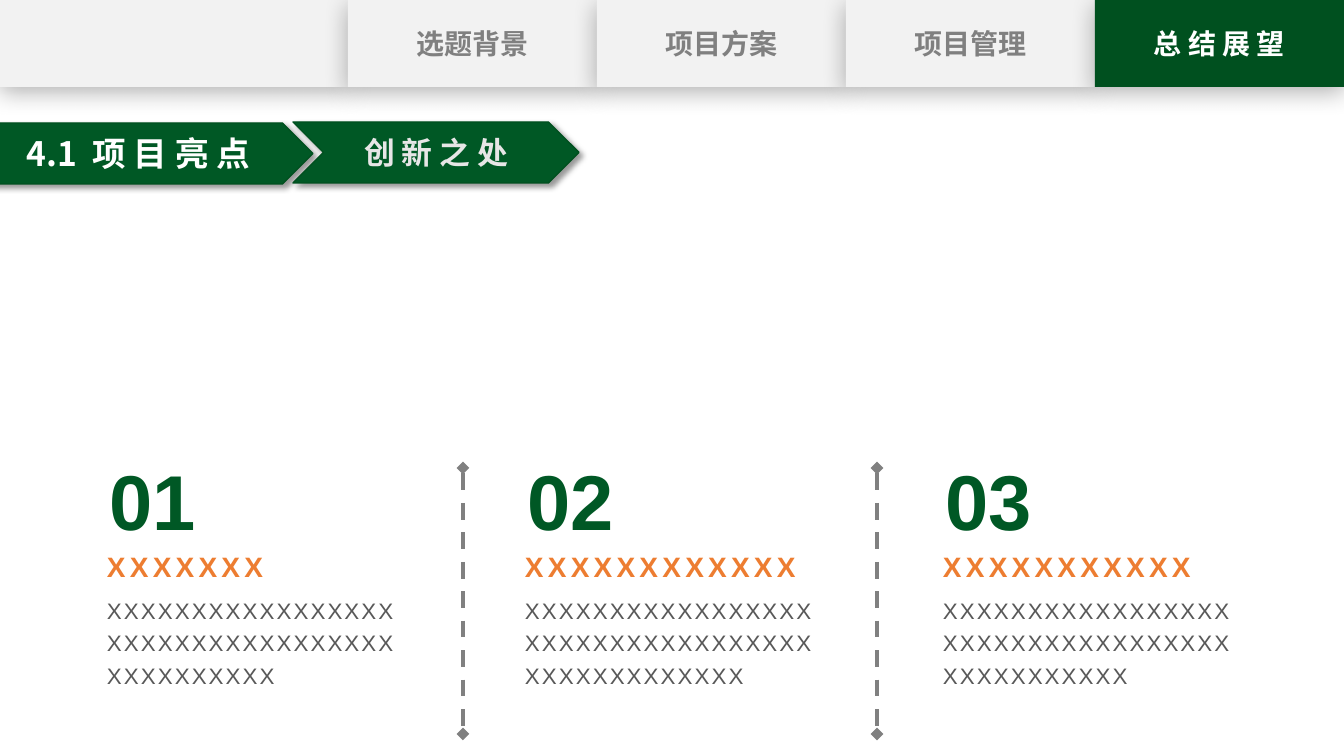
from lxml.etree import SubElement
from pptx import Presentation
from pptx.dml.color import RGBColor
from pptx.enum.dml import MSO_LINE
from pptx.enum.shapes import MSO_CONNECTOR, MSO_SHAPE
from pptx.enum.text import MSO_ANCHOR as ANCHOR, PP_ALIGN as ALIGN
from pptx.oxml.ns import qn
from pptx.util import Pt

EMU_PER_PX = 914400 / 100.8
GREEN, DARK_GREEN, ORANGE = "005825", "00501F", "ED7D31"
PALE, GRAY, WHITE = "F2F2F2", "808080", "FFFFFF"
CJK, LATIN = "Noto Sans CJK SC", "Arial"
TAB_SHADOW = (29, 18, 4, 90)  # opacity %, blur pt, distance pt, angle
RIBBON_SHADOW = (40, 4, 3, 45)


def px(n):
    return round(n * EMU_PER_PX)


def rgb(color):
    return RGBColor.from_string(color)


def write(shape, text, size, color, font=CJK, bold=True, align=ALIGN.CENTER,
          anchor=ANCHOR.MIDDLE, spacing=None, tracking=0, insets=None, wrap=True):
    tf = shape.text_frame
    tf.word_wrap = wrap
    tf.vertical_anchor = anchor
    if insets:
        tf.margin_left, tf.margin_top, tf.margin_right, tf.margin_bottom = map(px, insets)
    p = tf.paragraphs[0]
    p.text = text
    p.alignment = align
    p.line_spacing = spacing
    p.font.size = Pt(size)
    p.font.bold = bold
    p.font.name = font
    p.font.color.rgb = rgb(color)
    props = p._p.pPr.find(qn("a:defRPr"))
    SubElement(props, qn("a:ea")).set("typeface", font)
    if tracking:
        props.set("spc", str(round(tracking * 100)))


def add_shadow(shape, opacity, blur, distance, angle):
    shape.shadow.inherit = False
    effects = shape._element.spPr.find(qn("a:effectLst"))
    outer = SubElement(effects, qn("a:outerShdw"), blurRad=str(Pt(blur)),
                       dist=str(Pt(distance)), dir=str(angle * 60000),
                       algn="ctr", rotWithShape="0")
    black = SubElement(outer, qn("a:srgbClr"), val="000000")
    SubElement(black, qn("a:alpha"), val=str(opacity * 1000))


def add_block(s, kind, x, y, w, h, fill, shadow, line=None):
    sp = s.shapes.add_shape(kind, px(x), px(y), px(w), px(h))
    sp.fill.solid()
    sp.fill.fore_color.rgb = rgb(fill)
    if line:
        sp.line.color.rgb = rgb(line)
        sp.line.width = Pt(1)
    else:
        sp.line.fill.background()
    add_shadow(sp, *shadow)
    return sp


def add_tab(s, x, w, text="", fill=PALE, color=GRAY):
    sp = add_block(s, MSO_SHAPE.RECTANGLE, x, 0, w, 87, fill, TAB_SHADOW)
    if text:
        write(sp, text, 20, color)


def add_ribbon(s, x, y, w, text, size, color):
    sp = add_block(s, MSO_SHAPE.CHEVRON, x, y, w, 61, GREEN, RIBBON_SHADOW, DARK_GREEN)
    write(sp, text, size, color, wrap=False)


def add_text(s, x, y, w, h, text, size, color, **style):
    box = s.shapes.add_textbox(px(x), px(y), px(w), px(h))
    write(box, text, size, color, font=LATIN, **style)


def add_column(s, x, number, title, body):
    add_text(s, x, 541, 314, 42, title, 20, ORANGE, align=ALIGN.LEFT,
             anchor=ANCHOR.BOTTOM, spacing=1.2, tracking=3, insets=(10, 5, 10, 0))
    add_text(s, x, 592, 314, 163, body, 16, "595959", bold=False, align=ALIGN.LEFT,
             anchor=ANCHOR.TOP, spacing=1.2, tracking=1.5, insets=(10, 0, 10, 5))
    add_text(s, x + 4, 444, 104, 102, number, 55.5, GREEN, spacing=1.1,
             insets=(0, 0, 0, 0))


def add_divider(s, x):
    line = s.shapes.add_connector(MSO_CONNECTOR.STRAIGHT, px(x), px(468), px(x), px(734))
    line.line.color.rgb = rgb(GRAY)
    line.line.width = Pt(3)
    line.line.dash_style = MSO_LINE.DASH
    ln = line.line._get_or_add_ln()
    for end in ("a:headEnd", "a:tailEnd"):
        SubElement(ln, qn(end), type="diamond")
    SubElement(line._element.spPr, qn("a:effectLst"))


def main():
    prs = Presentation()
    prs.slide_width, prs.slide_height = px(1344), px(756)
    s = prs.slides.add_slide(prs.slide_layouts[6])

    # Navigation bar
    add_tab(s, 0, 348)
    for i, name in enumerate(("选题背景", "项目方案", "项目管理")):
        add_tab(s, 348 + 249 * i, 249, name)
    add_tab(s, 348 + 249 * 3, 249, "总 结 展 望", DARK_GREEN, WHITE)

    # Section ribbons
    add_ribbon(s, -36, 123, 349, "4.1  项 目 亮 点", 24, WHITE)
    add_ribbon(s, 293, 122, 286, "创 新 之 处", 22, "E7E6E6")

    # Three highlights: letters in the title and in the body
    for i, (title, body) in enumerate(((7, 44), (12, 47), (11, 45))):
        add_column(s, 97 + 418 * i, f"0{i + 1}", "X" * title, "X" * body)

    # Dividers between the highlights
    for x in (463, 877):
        add_divider(s, x)

    prs.save("out.pptx")


if __name__ == "__main__":
    main()
